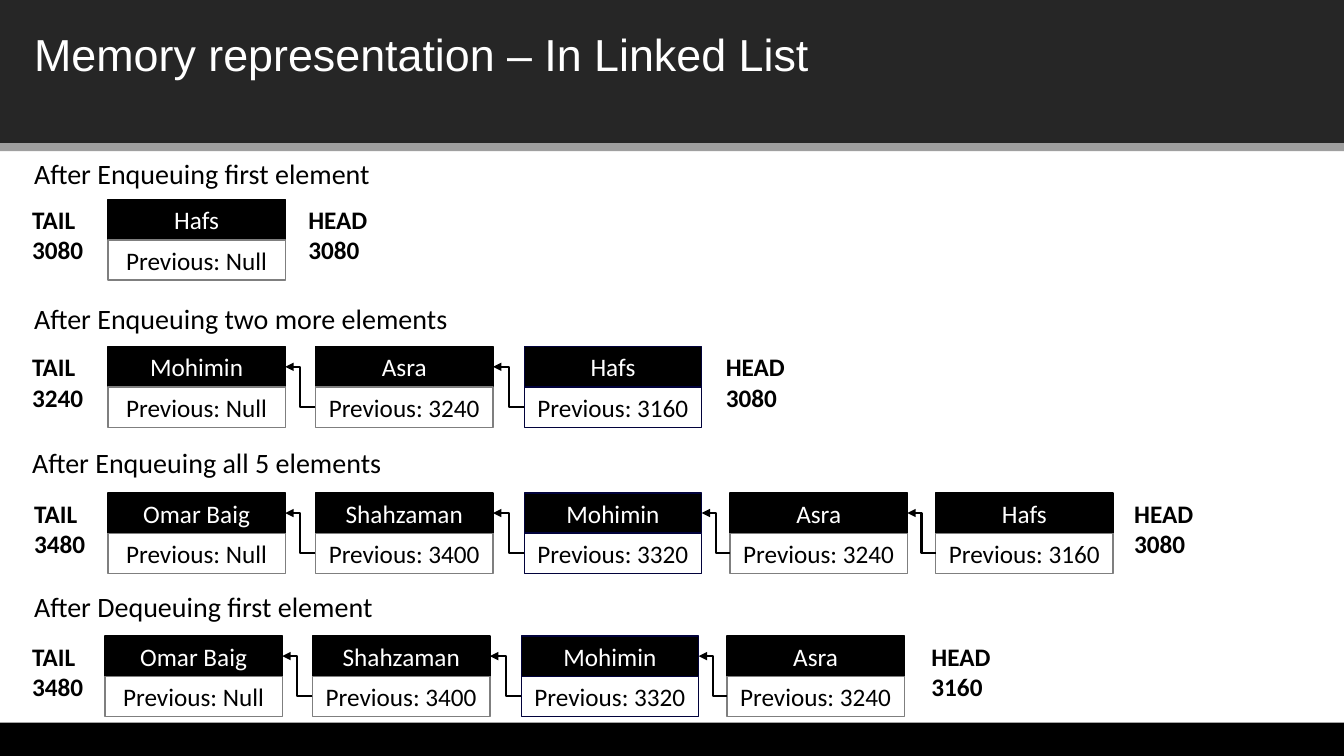
from pptx import Presentation
from pptx.dml.color import RGBColor
from pptx.enum.shapes import MSO_CONNECTOR, MSO_SHAPE
from pptx.enum.text import MSO_ANCHOR, PP_ALIGN
from pptx.oxml.xmlchemy import OxmlElement
from pptx.util import Inches, Pt

RECTANGLE = MSO_SHAPE.RECTANGLE
ELBOW = MSO_CONNECTOR.ELBOW
MIDDLE = MSO_ANCHOR.MIDDLE
CENTER = PP_ALIGN.CENTER

BLACK = RGBColor(0x00, 0x00, 0x00)
WHITE = RGBColor(0xFF, 0xFF, 0xFF)
CHARCOAL = RGBColor(0x26, 0x26, 0x26)
SILVER = RGBColor(0x9F, 0x9F, 0x9F)
GRAY = RGBColor(0x7F, 0x7F, 0x7F)
NAVY = RGBColor(0x01, 0x02, 0x3B)

TITLE = {"name": "Arial", "size": Pt(32)}
HEADING = {"name": "Calibri", "size": Pt(20)}
NODE = {"name": "Calibri", "size": Pt(18)}
POINTER = {"name": "Calibri", "size": Pt(18), "bold": True}

NODE_WIDTH, ROW_HEIGHT = 1.76, 0.4
NODE_OFFSETS = (0, 2.06, 4.13, 6.17, 8.21)
NAVY_NODE = 2
LEFT_SITE, RIGHT_SITE = 1, 3

# heading, heading position, tail address, tail left, nodes left, chain top,
# nodes as (name, previous), head address, head left
STATES = [
    ("After Enqueuing first element", (0.24, 1.5), "3080", 0.22, 1.07, 1.98,
     [("Hafs", "Null")], "3080", 2.96),
    ("After Enqueuing two more elements", (0.24, 2.94), "3240", 0.22, 1.07, 3.44,
     [("Mohimin", "Null"), ("Asra", "3240"), ("Hafs", "3160")], "3080", 7.1),
    ("After Enqueuing all 5 elements", (0.22, 4.37), "3480", 0.24, 1.07, 4.89,
     [("Omar Baig", "Null"), ("Shahzaman", "3400"), ("Mohimin", "3320"),
      ("Asra", "3240"), ("Hafs", "3160")], "3080", 11.15),
    ("After Dequeuing first element", (0.24, 5.8), "3480", 0.22, 1.04, 6.31,
     [("Omar Baig", "Null"), ("Shahzaman", "3400"), ("Mohimin", "3320"),
      ("Asra", "3240")], "3160", 9.14),
]


def write(paragraph, text, font, color):
    paragraph.text = text
    for name, value in font.items():
        setattr(paragraph.font, name, value)
    paragraph.font.color.rgb = color


def add_text(slide, box, lines, font, color=BLACK, wrap=True):
    shape = slide.shapes.add_textbox(*map(Inches, box))
    frame = shape.text_frame
    frame.word_wrap = wrap
    for index, line in enumerate(lines):
        paragraph = frame.add_paragraph() if index else frame.paragraphs[0]
        write(paragraph, line, font, color)


def add_rectangle(slide, box, fill, line=None):
    shape = slide.shapes.add_shape(RECTANGLE, *map(Inches, box))
    shape.shadow.inherit = False
    shape.fill.solid()
    shape.fill.fore_color.rgb = fill
    if line is None:
        shape.line.fill.background()
    else:
        shape.line.color.rgb = line
        shape.line.width = Pt(1)
    return shape


def add_cell(slide, left, top, text, fill, line, color):
    """Add one half of a list node."""
    shape = add_rectangle(slide, (left, top, NODE_WIDTH, ROW_HEIGHT), fill, line)
    frame = shape.text_frame
    frame.word_wrap = True
    frame.vertical_anchor = MIDDLE
    frame.paragraphs[0].alignment = CENTER
    write(frame.paragraphs[0], text, NODE, color)
    return shape


def add_link(slide, source, target):
    """Point from a node's previous field to the name of the node before it."""
    connector = slide.shapes.add_connector(ELBOW, 0, 0, 0, 0)
    connector.begin_connect(source, LEFT_SITE)
    connector.end_connect(target, RIGHT_SITE)
    connector.line.color.rgb = BLACK
    connector.line.width = Pt(1.5)
    arrowhead = OxmlElement("a:tailEnd")
    arrowhead.set("type", "triangle")
    connector.line._get_or_add_ln().append(arrowhead)
    connector._element.spPr.append(OxmlElement("a:effectLst"))


def add_chain(slide, left, top, nodes):
    name_cell = None
    for index, (name, previous) in enumerate(nodes):
        node_left = left + NODE_OFFSETS[index]
        name_line, field_line = (NAVY, NAVY) if index == NAVY_NODE else (BLACK, GRAY)
        earlier_cell = name_cell
        name_cell = add_cell(slide, node_left, top, name, BLACK, name_line, WHITE)
        field_cell = add_cell(slide, node_left, top + ROW_HEIGHT,
                              f"Previous: {previous}", WHITE, field_line, BLACK)
        if earlier_cell is not None:
            add_link(slide, field_cell, earlier_cell)


def add_state(slide, heading, heading_position, tail, tail_left, nodes_left, top,
              nodes, head, head_left):
    add_text(slide, (*heading_position, 4.96, 0.44), [heading], HEADING)
    add_chain(slide, nodes_left, top, nodes)
    add_text(slide, (tail_left, top, 0.71, 0.71), ["TAIL", tail], POINTER, wrap=False)
    add_text(slide, (head_left, top, 0.79, 0.71), ["HEAD", head], POINTER, wrap=False)


def add_title_band(slide, left, top, width):
    add_rectangle(slide, (left, top, width, 1.43), CHARCOAL)
    add_rectangle(slide, (left, top + 1.43, width, 0.08), SILVER)
    add_text(slide, (left + 0.25, top + 0.23, 12.84, 0.64),
             ["Memory representation – In Linked List"], TITLE, WHITE)


def main():
    presentation = Presentation()
    presentation.slide_width = Inches(13.33)
    presentation.slide_height = Inches(7.5)
    slide = presentation.slides.add_slide(presentation.slide_layouts[6])
    add_title_band(slide, -0.01, -0.01, 13.34)
    add_rectangle(slide, (-0.02, 7.17, 13.35, 0.33), BLACK)
    for state in STATES:
        add_state(slide, *state)
    presentation.save("out.pptx")


if __name__ == "__main__":
    main()
